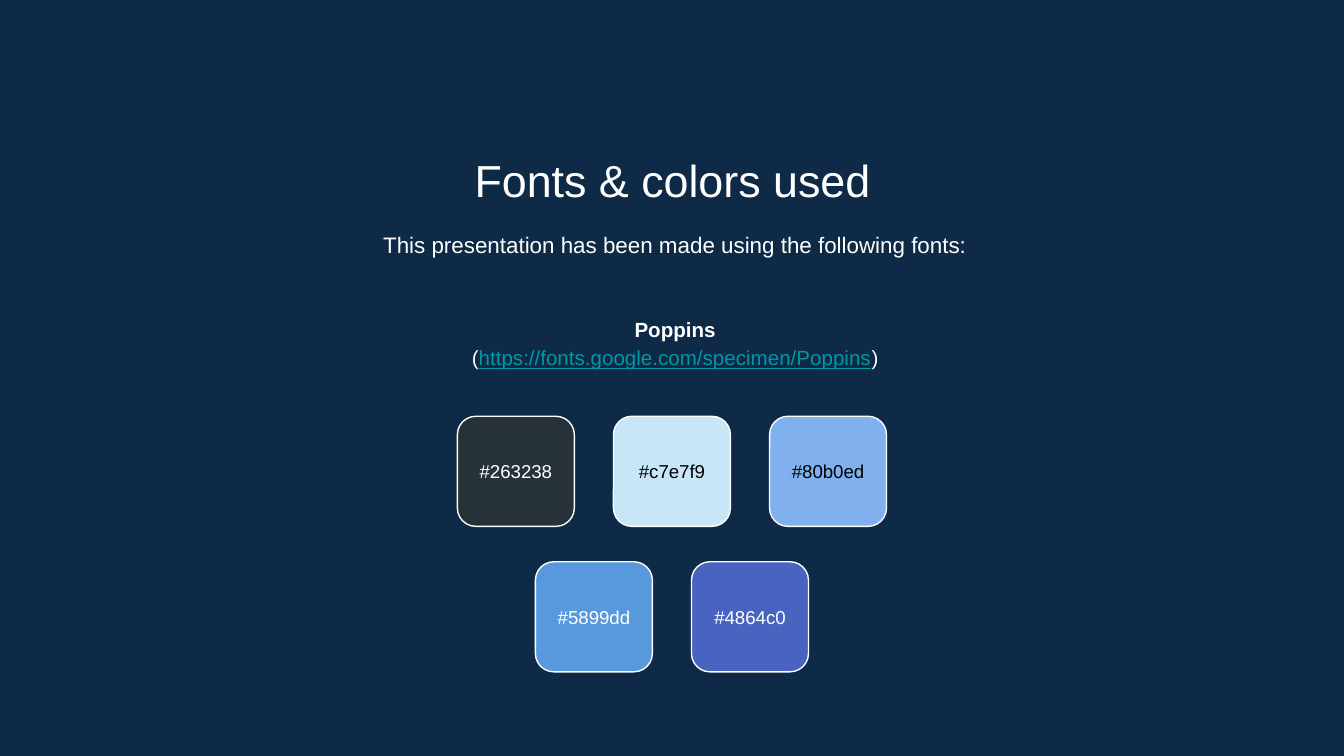
"""Build a slide that lists the font and the colour palette of a presentation."""
from lxml import etree
from pptx import Presentation
from pptx.dml.color import RGBColor
from pptx.enum.shapes import MSO_SHAPE
from pptx.enum.text import MSO_ANCHOR, MSO_AUTO_SIZE, PP_ALIGN
from pptx.oxml.ns import qn
from pptx.util import Cm, Pt

ROUNDED = MSO_SHAPE.ROUNDED_RECTANGLE
TOP, MIDDLE = MSO_ANCHOR.TOP, MSO_ANCHOR.MIDDLE
NO_FIT = MSO_AUTO_SIZE.NONE
CENTER = PP_ALIGN.CENTER

COLORS = {"background": "0E2A47", "white": "FFFFFF", "black": "000000", "link": "0097A7"}
SWATCH_ROWS = [
    [("#263238", "white"), ("#c7e7f9", "black"), ("#80b0ed", "black")],
    [("#5899dd", "white"), ("#4864c0", "white")],
]
SLIDE_W, TILE_W, TILE_H, GAP = 25.4, 2.21, 2.08, 0.74
ROWS_TOP, ROW_STEP, LABEL_H = 7.87, 2.75, 1.22


def set_frame(tf, anchor):
    tf.word_wrap = True
    tf.auto_size = NO_FIT
    tf.vertical_anchor = anchor
    tf.margin_left = tf.margin_right = tf.margin_top = tf.margin_bottom = Cm(0.25)


def format_text(p, size, color, bold=False):
    p.alignment = CENTER
    for r in p.runs:
        r.font.name = "Arial"
        r.font.size = Pt(size)
        r.font.bold = bold
        r.font.color.rgb = RGBColor.from_string(COLORS[color])


prs = Presentation()
prs.slide_width, prs.slide_height = Cm(SLIDE_W), Cm(14.29)
s = prs.slides.add_slide(prs.slide_layouts[3])
s.background.fill.solid()
s.background.fill.fore_color.rgb = RGBColor.from_string(COLORS["background"])

title, intro, fonts = s.placeholders
for sp, left, top, height, anchor in [
    (title, 2.92, 2.64, 1.35, TOP),
    (intro, 2.97, 4.04, 1.22, TOP),
    (fonts, 2.97, 5.33, 2.26, MIDDLE),
]:
    sp.left, sp.top, sp.width, sp.height = Cm(left), Cm(top), Cm(19.58), Cm(height)
    set_frame(sp.text_frame, anchor)

title.text_frame.text = "Fonts & colors used"
format_text(title.text_frame.paragraphs[0], 24, "white")

intro.text_frame.text = "This presentation has been made using the following fonts:"
format_text(intro.text_frame.paragraphs[0], 12, "white")

fonts.text_frame.text = "Poppins"
name = fonts.text_frame.paragraphs[0]
format_text(name, 11, "white", bold=True)
address = fonts.text_frame.add_paragraph()
for part in ("(", "https://fonts.google.com/specimen/Poppins", ")"):
    address.add_run().text = part
format_text(address, 11, "white")
link = address.runs[1].font
link.underline = True
link.color.rgb = RGBColor.from_string(COLORS["link"])

for p in (intro.text_frame.paragraphs[0], name, address):
    p.line_spacing = 1.15
    p.space_before = Pt(0)
    pPr = p._p.get_or_add_pPr()
    pPr.set("marL", "0")
    pPr.set("indent", "0")
    etree.SubElement(pPr, qn("a:buNone"))

for row, swatches in enumerate(SWATCH_ROWS):
    row_w = len(swatches) * (TILE_W + GAP) - GAP
    top = ROWS_TOP + row * ROW_STEP
    for col, (code, ink) in enumerate(swatches):
        left = (SLIDE_W - row_w) / 2 + col * (TILE_W + GAP)
        tile = s.shapes.add_shape(ROUNDED, Cm(left), Cm(top), Cm(TILE_W), Cm(TILE_H))
        tile.shadow.inherit = False
        tile.fill.solid()
        tile.fill.fore_color.rgb = RGBColor.from_string(code[1:].upper())
        tile.line.color.rgb = RGBColor.from_string(COLORS["white"])
        tile.line.width = Pt(0.75)
        label_top = top + (TILE_H - LABEL_H) / 2
        label = s.shapes.add_textbox(Cm(left), Cm(label_top), Cm(TILE_W), Cm(LABEL_H))
        set_frame(label.text_frame, MIDDLE)
        label.text_frame.text = code
        format_text(label.text_frame.paragraphs[0], 10, ink)

prs.save("out.pptx")
